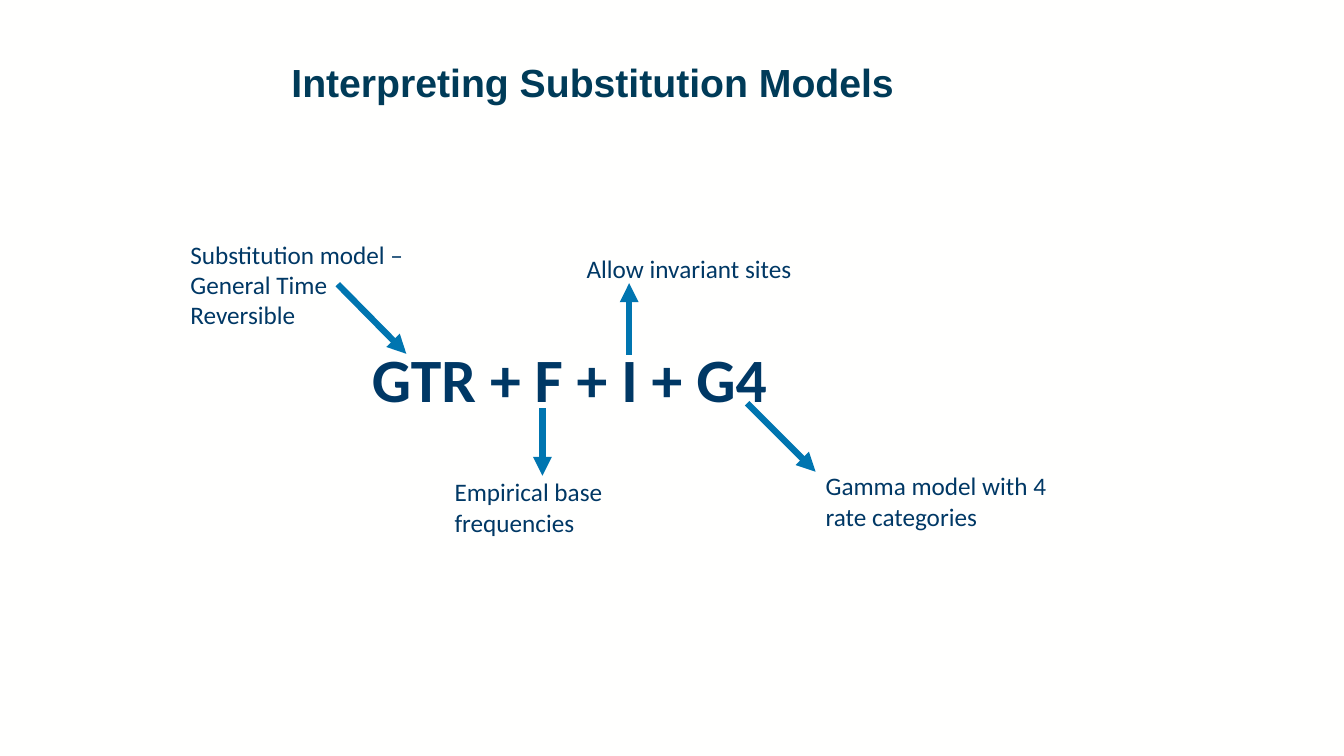
import pptx
import pptx.util
import pptx.dml.color
import pptx.enum.shapes
import pptx.enum.text
import pptx.oxml.ns
from lxml import etree

Inches = pptx.util.Inches
RGB = pptx.dml.color.RGBColor.from_string

THEME = {
    "background": RGB("FFFFFE"),
    "arrow": RGB("0075B0"),
    "arrow_width": pptx.util.Pt(4.5),
    "title": {"name": "Arial", "size": pptx.util.Pt(28), "bold": True, "color": RGB("003B58")},
    "formula": {"name": "Calibri", "size": pptx.util.Pt(44), "bold": True, "color": RGB("003865")},
    "label": {"name": "Calibri", "size": pptx.util.Pt(18), "bold": False, "color": RGB("003865")},
}


def write(shape, text, style):
    tf = shape.text_frame
    tf.word_wrap = True
    tf.vertical_anchor = pptx.enum.text.MSO_ANCHOR.TOP
    p = tf.paragraphs[0]
    p.alignment = pptx.enum.text.PP_ALIGN.LEFT
    r = p.add_run()
    r.text = text
    for key, value in THEME[style].items():
        if key == "color":
            r.font.color.rgb = value
        else:
            setattr(r.font, key, value)
    return p


# Slide
prs = pptx.Presentation()
prs.slide_width, prs.slide_height = Inches(13.33), Inches(7.5)
s = prs.slides.add_slide(prs.slide_layouts[5])
s.background.fill.solid()
s.background.fill.fore_color.rgb = THEME["background"]

# Title
title = s.shapes.title
title.left, title.top, title.width, title.height = map(Inches, (2.79, 0.58, 10.07, 0.97))
write(title, "Interpreting Substitution Models", "title").line_spacing = 0.9

# Model formula
formula = s.shapes.add_textbox(*map(Inches, (3.59, 3.33, 7.65, 0.84)))
write(formula, "GTR + F + I + G4", "formula")

# Labels, each with an arrow: text, left, top, height, arrow start and end
parts = [
    ("Substitution model – General Time Reversible", 1.79, 2.32, 1.01, (3.35, 2.82, 4.03, 3.51)),
    ("Empirical base frequencies", 4.41, 4.68, 0.71, (5.38, 4.05, 5.38, 4.72)),
    ("Allow invariant sites", 5.72, 2.46, 0.4, (6.24, 3.52, 6.24, 2.81)),
    ("Gamma model with 4 rate categories", 8.09, 4.62, 0.71, (7.41, 4, 8.09, 4.68)),
]
for text, left, top, height, ends in parts:
    label = s.shapes.add_textbox(*map(Inches, (left, top, 2.62, height)))
    write(label, text, "label")

    arrow = s.shapes.add_connector(pptx.enum.shapes.MSO_CONNECTOR.STRAIGHT, *map(Inches, ends))
    arrow.line.color.rgb = THEME["arrow"]
    arrow.line.width = THEME["arrow_width"]
    etree.SubElement(arrow.line._get_or_add_ln(), pptx.oxml.ns.qn("a:tailEnd"), type="triangle")
    etree.SubElement(arrow._element.spPr, pptx.oxml.ns.qn("a:effectLst"))

prs.save("out.pptx")
